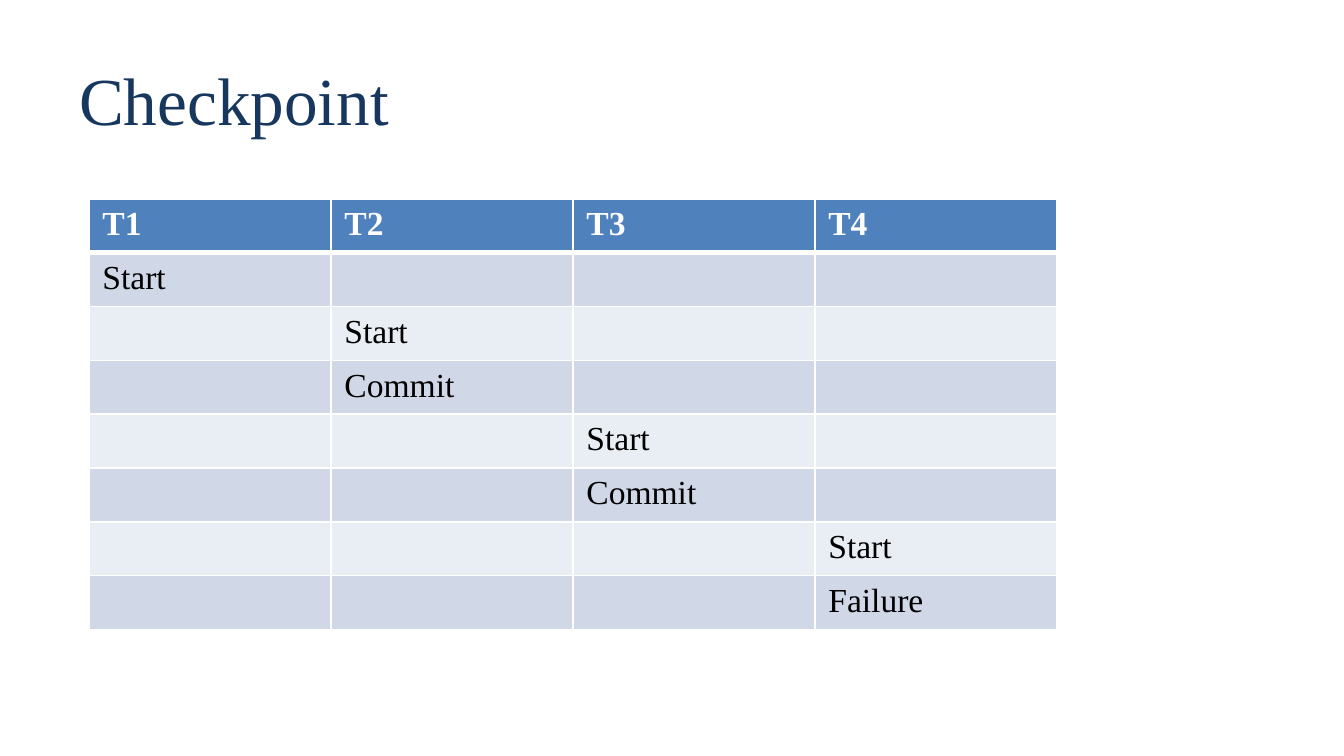
from lxml import etree
from pptx import Presentation
from pptx.dml.color import RGBColor
from pptx.enum.text import MSO_ANCHOR
from pptx.oxml.ns import qn
from pptx.util import Pt

MIDDLE = MSO_ANCHOR.MIDDLE
SCALE = 914400 / 134.4
FONT = "Times New Roman"
WHITE, BLACK, NAVY, BLUE = "FFFFFF", "000000", "17375E", "4F81BD"
BANDS = ("D0D8E8", "E9EDF4")
HEADERS = ("T1", "T2", "T3", "T4")
EVENTS = (
    (0, "Start"),
    (1, "Start"),
    (1, "Commit"),
    (2, "Start"),
    (2, "Commit"),
    (3, "Start"),
    (3, "Failure"),
)


def px(length):
    """Turn pixels into EMU."""
    return round(length * SCALE)


def color(code):
    """Turn a hex string into a colour."""
    return RGBColor.from_string(code)


def write(text_frame, text, size, code, bold=False):
    """Set one line of text and format its run."""
    text_frame.text = text
    for span in text_frame.paragraphs[0].runs:
        span.font.name = FONT
        span.font.size = Pt(size)
        span.font.bold = bold
        span.font.color.rgb = color(code)


def add_title(page, box, text):
    """Place the slide title in the box."""
    title = page.shapes.add_textbox(*map(px, box))
    frame = title.text_frame
    frame.word_wrap = True
    frame.vertical_anchor = MIDDLE
    write(frame, text, 36, NAVY)


def add_borders(cell, widths):
    """Draw white cell borders, given widths in points by side."""
    properties = cell._tc.get_or_add_tcPr()
    for side, width in widths.items():
        line = etree.SubElement(properties, qn(f"a:ln{side}"), w=str(Pt(width)))
        fill = etree.SubElement(line, qn("a:solidFill"))
        etree.SubElement(fill, qn("a:srgbClr"), val=WHITE)


def style_cell(cell, text, row):
    """Fill, border and write one cell according to its row."""
    header = row == 0
    top = 3 if row == 1 else 1
    bottom = 3 if header else 1
    add_borders(cell, {"L": 1, "R": 1, "T": top, "B": bottom})
    cell.fill.solid()
    cell.fill.fore_color.rgb = color(BLUE if header else BANDS[(row - 1) % 2])
    if text:
        write(cell.text_frame, text, 18, WHITE if header else BLACK, header)
    else:
        cell.margin_top = cell.margin_bottom = 0


def add_schedule(page, box, headers, events):
    """Place the transaction table in the box, one event to a row."""
    rows = [headers]
    for column, event in events:
        rows.append([event if i == column else "" for i in range(len(headers))])
    table = page.shapes.add_table(len(rows), len(headers), *map(px, box)).table
    for column in table.columns:
        column.width = px(box[2] // len(headers))
    for index, texts in enumerate(rows):
        table.rows[index].height = px(box[3] // len(rows))
        for column, text in enumerate(texts):
            style_cell(table.cell(index, column), text, index)


def build():
    """Build the deck and save it."""
    deck = Presentation()
    deck.slide_width, deck.slide_height = px(1344), px(756)
    page = deck.slides.add_slide(deck.slide_layouts[6])
    add_title(page, (66, 42, 1212, 113), "Checkpoint")
    add_schedule(page, (89, 199, 968, 416), HEADERS, EVENTS)
    deck.save("out.pptx")


build()
